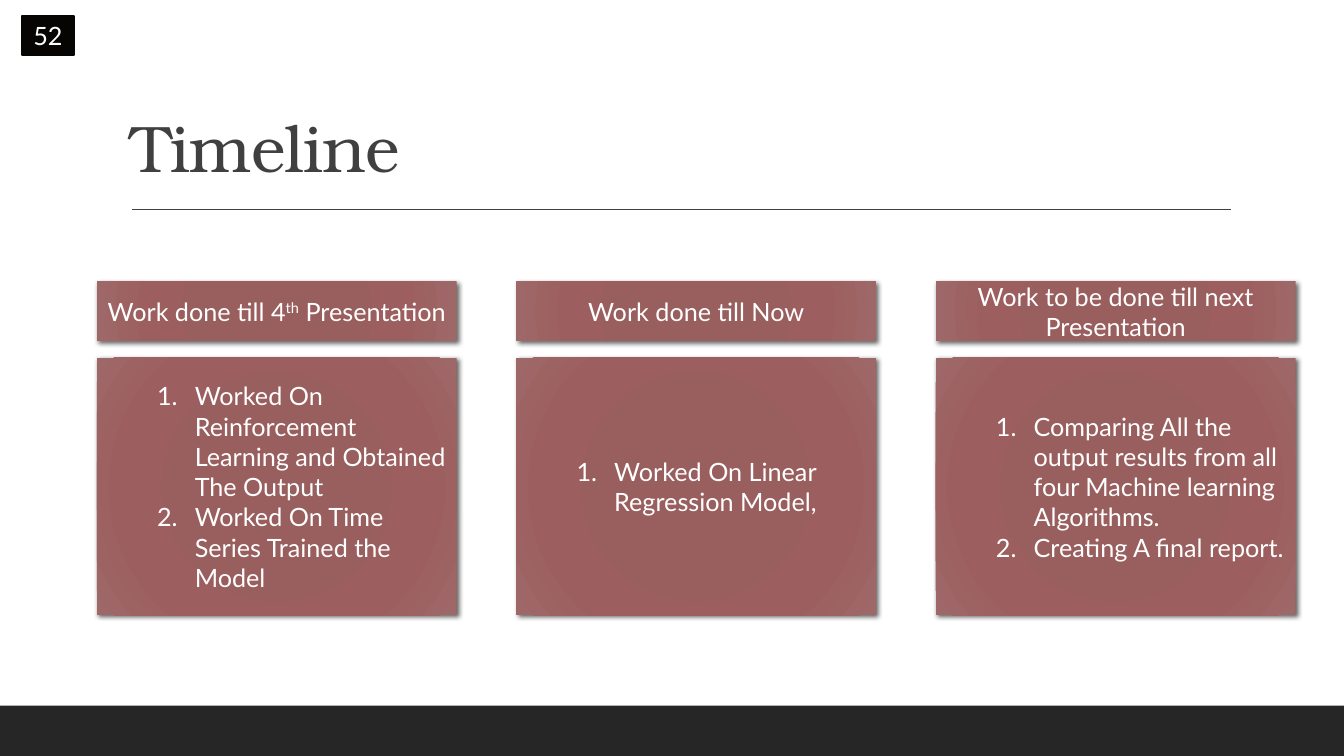
from lxml import etree
from pptx import Presentation
from pptx.dml.color import RGBColor
from pptx.enum import shapes, text
from pptx.oxml import ns
from pptx.util import Cm, Pt

BODY_FORMAT = {"size": Pt(18), "name": "Lato"}
TITLE_FORMAT = {"size": Pt(47), "name": "TeX Gyre Bonum"}
CARD_STOPS = [(0, "985C5C"), (34, "995E5E"), (70, "9C5E5E"), (100, "9E6868")]
CARD_LEFT, CARD_STEP, CARD_WIDTH = 2.44, 10.57, 9.07
STAGES = [
    (
        [("Work done till 4", 0), ("th", 30), (" Presentation", 0)],
        [
            "Worked On Reinforcement Learning and Obtained The Output",
            "Worked On Time Series Trained the Model",
        ],
    ),
    ([("Work done till Now", 0)], ["Worked On Linear Regression Model,"]),
    (
        [("Work to be done till next Presentation", 0)],
        [
            "Comparing All the output results from all four Machine learning Algorithms.",
            "Creating A final report.",
        ],
    ),
]


def colour(value):
    return RGBColor.from_string(value)


def add_xml(parent, tag, **attributes):
    values = {key: str(value) for key, value in attributes.items()}
    return etree.SubElement(parent, ns.qn(tag), values)


def add_run(paragraph, wording, formats, ink="FFFFFF"):
    run = paragraph.add_run()
    run.text = wording
    for key, value in formats.items():
        setattr(run.font, key, value)
    run.font.color.rgb = colour(ink)
    return run


def add_block(slide, left, top, width, height):
    block = slide.shapes.add_shape(
        shapes.MSO_SHAPE.RECTANGLE, Cm(left), Cm(top), Cm(width), Cm(height)
    )
    block.shadow.inherit = False
    block.text_frame.word_wrap = True
    block.text_frame.vertical_anchor = text.MSO_ANCHOR.MIDDLE
    return block


def add_solid(slide, left, top, width, height, fill):
    block = add_block(slide, left, top, width, height)
    block.fill.solid()
    block.fill.fore_color.rgb = colour(fill)
    block.line.fill.background()
    return block


def add_card(slide, left, top, height):
    card = add_block(slide, left, top, CARD_WIDTH, height)
    card.line.fill.background()
    card.fill.gradient()
    gradient = card.element.spPr.find(ns.qn("a:gradFill"))
    for child in list(gradient):
        gradient.remove(child)
    stops = add_xml(gradient, "a:gsLst")
    for position, shade in CARD_STOPS:
        stop = add_xml(stops, "a:gs", pos=position * 1000)
        add_xml(stop, "a:srgbClr", val=shade)
    circle = add_xml(gradient, "a:path", path="circle")
    add_xml(circle, "a:fillToRect", **dict.fromkeys("ltrb", 100000))
    effects = card.element.spPr.find(ns.qn("a:effectLst"))
    shadow = add_xml(
        effects, "a:outerShdw", blurRad=Pt(3.5), dist=Pt(2), dir=2700000, rotWithShape=0
    )
    shade = add_xml(shadow, "a:srgbClr", val="000000")
    add_xml(shade, "a:alpha", val=60000)
    return card


def add_heading(slide, left, pieces):
    paragraph = add_card(slide, left, 7.09, 1.5).text_frame.paragraphs[0]
    paragraph.alignment = text.PP_ALIGN.CENTER
    for wording, raised in pieces:
        run = add_run(paragraph, wording, BODY_FORMAT)
        if raised:
            run.font._element.set("baseline", str(raised * 1000))


def add_tasks(slide, left, tasks):
    frame = add_card(slide, left, 9.02, 6.48).text_frame
    for index, task in enumerate(tasks):
        paragraph = frame.add_paragraph() if index else frame.paragraphs[0]
        paragraph.level = 1
        paragraph.alignment = text.PP_ALIGN.LEFT
        properties = paragraph._p.get_or_add_pPr()
        properties.set("marL", str(Cm(2.22)))
        properties.set("indent", str(Cm(-0.95)))
        add_xml(properties, "a:buFont", typeface="+mj-lt")
        add_xml(properties, "a:buAutoNum", type="arabicPeriod")
        add_run(paragraph, task, BODY_FORMAT)


def add_title(slide, wording):
    title = slide.shapes.add_textbox(Cm(3.05), Cm(0.79), Cm(27.94), Cm(4.04))
    title.text_frame.word_wrap = True
    title.text_frame.vertical_anchor = text.MSO_ANCHOR.BOTTOM
    paragraph = title.text_frame.paragraphs[0]
    paragraph.line_spacing = 0.9
    run = add_run(paragraph, wording, TITLE_FORMAT, "404040")
    run.font._element.set("spc", "-50")


def add_rule(slide):
    rule = slide.shapes.add_connector(
        shapes.MSO_CONNECTOR.STRAIGHT, Cm(3.33), Cm(5.28), Cm(31.01), Cm(5.28)
    )
    rule.line.color.rgb = colour("404040")
    rule.line.width = Pt(1)
    add_xml(rule.element.spPr, "a:effectLst")


def add_page_number(slide, number):
    badge = add_solid(slide, 0.56, 0.41, 1.3, 0.97, "060504")
    badge.line.color.rgb = colour("060504")
    badge.line.width = Pt(1.25)
    paragraph = badge.text_frame.paragraphs[0]
    paragraph.alignment = text.PP_ALIGN.CENTER
    add_run(paragraph, number, BODY_FORMAT)


def main():
    deck = Presentation()
    deck.slide_width, deck.slide_height = Cm(33.87), Cm(19.05)
    slide = deck.slides.add_slide(deck.slide_layouts[6])
    add_solid(slide, 0, 17.78, 33.87, 1.27, "262626")
    add_rule(slide)
    add_title(slide, "Timeline")
    for index, (heading, tasks) in enumerate(STAGES):
        left = CARD_LEFT + index * CARD_STEP
        add_tasks(slide, left, tasks)
        add_heading(slide, left, heading)
    add_page_number(slide, "52")
    deck.save("out.pptx")


if __name__ == "__main__":
    main()
